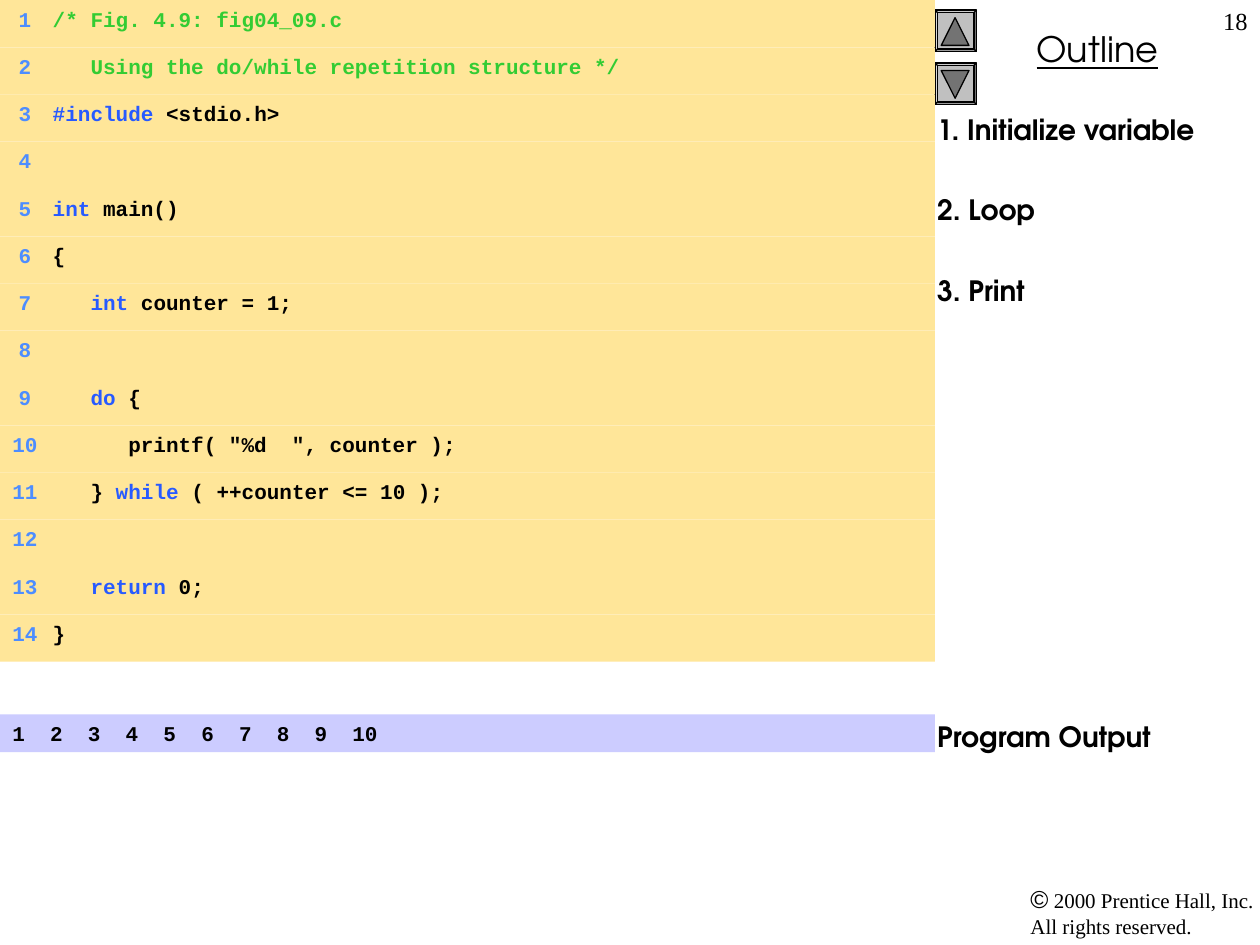
"""Build the do/while code listing slide with its outline and output."""
from lxml.etree import SubElement
from pptx import Presentation
from pptx.dml.color import RGBColor
from pptx.enum.shapes import MSO_SHAPE
from pptx.enum.text import MSO_ANCHOR, PP_ALIGN
from pptx.oxml.ns import qn
from pptx.util import Inches, Pt


def put(para, text, size, face, color="000000", bold=False):
    run = para.add_run()
    run.text = text
    font = run.font
    font.size, font.name, font.bold = Pt(size), face, bold
    font.color.rgb = RGBColor.from_string(color)
    return run


def draw(kind, left, top, width, height, fill, line=None):
    shape = slide.shapes.add_shape(
        kind, Inches(left), Inches(top), Inches(width), Inches(height))
    shape.shadow.inherit = False
    shape.fill.solid()
    shape.fill.fore_color.rgb = RGBColor.from_string(fill)
    if line:
        shape.line.color.rgb = RGBColor.from_string(line)
        shape.line.width = Pt(0.75)
    else:
        shape.line.fill.background()
    shape.text_frame.vertical_anchor = MSO_ANCHOR.TOP
    shape.text_frame.paragraphs[0].alignment = PP_ALIGN.LEFT
    return shape


deck = Presentation()
deck.slide_width, deck.slide_height = Inches(10), Inches(7.5)
slide = deck.slides.add_slide(deck.slide_layouts[6])

HEAD, CODE, BODY = "TeX Gyre Adventor", "Courier New", "Times New Roman"
NUM, NOTE, KEY, TEXT = "4D8DFF", "33CC33", "275AFF", "000000"
WIDE, ROW = 7.42, 0.375

for top, turn, tip in [(0.08, 0, 0.14), (0.5, 180, 0.56)]:
    button = draw(MSO_SHAPE.BEVEL, WIDE, top, 0.33, 0.33, "C0C0C0", TEXT)
    button.adjustments[0] = 0.06
    arrow = draw(MSO_SHAPE.ISOSCELES_TRIANGLE, 7.47, tip, 0.22, 0.22, "737373", TEXT)
    arrow.rotation = turn

boxes = [
    (WIDE, 0.17, 2.58, 0.44, PP_ALIGN.CENTER),
    (8.08, 6.97, 1.92, 0.53, PP_ALIGN.LEFT),
    (7.92, 0, 2.08, 0.5, PP_ALIGN.RIGHT),
    (7.34, 0.84, 2.66, 1.75, PP_ALIGN.LEFT),
    (7.34, 5.66, 2.66, 0.4, PP_ALIGN.LEFT),
]
frames = []
for left, top, width, height, align in boxes:
    box = slide.shapes.add_textbox(
        Inches(left), Inches(top), Inches(width), Inches(height))
    box.text_frame.word_wrap = True
    box.text_frame.paragraphs[0].alignment = align
    frames.append(box.text_frame)
title, legal, page, steps, label = frames

put(title.paragraphs[0], "Outline", 20, HEAD).font.underline = True
legal.margin_right = Inches(0)
para = legal.paragraphs[0]
put(para, "©", 14, "Arial")
put(para, " 2000 Prentice Hall, Inc.", 12, BODY)
para.add_line_break()
put(para, "All rights reserved.", 12, BODY)
put(page.paragraphs[0], "18", 14, BODY)
put(label.paragraphs[0], "Program Output", 16, HEAD, bold=True)
for i, step in enumerate(["1. Initialize variable", "2. Loop", "3. Print"]):
    para = steps.add_paragraph() if i else steps.paragraphs[0]
    if i:
        para.space_before = Pt(27)
    put(para, step, 16, HEAD, bold=True)

lines = [
    [("/* Fig. 4.9: fig04_09.c", NOTE)],
    [("   Using the do/while repetition structure */", NOTE)],
    [("#include", KEY), (" <stdio.h>", TEXT)],
    [],
    [("int", KEY), (" main()", TEXT)],
    [("{", TEXT)],
    [("   int", KEY), (" counter = 1;", TEXT)],
    [],
    [("   do", KEY), (" {", TEXT)],
    [('      printf( "%d  ", counter );', TEXT)],
    [("   } ", TEXT), ("while", KEY), (" ( ++counter <= 10 );", TEXT)],
    [],
    [("   return", KEY), (" 0;", TEXT)],
    [("}", TEXT)],
]
for i, parts in enumerate(lines):
    bar = draw(MSO_SHAPE.RECTANGLE, 0, i * ROW, WIDE, ROW, "FFE699")
    para = bar.text_frame.paragraphs[0]
    tabs = SubElement(para._p.get_or_add_pPr(), qn("a:tabLst"))
    for stop, side in [(0, "l"), (0.15, "r"), (0.32, "l")]:
        SubElement(tabs, qn("a:tab"), pos=str(Inches(stop)), algn=side)
    for text, color in [(f"\t{i + 1}\t", NUM)] + parts:
        put(para, text, 12, CODE, color, True)

bar = draw(MSO_SHAPE.RECTANGLE, 0, 5.67, WIDE, 0.3, "CCCCFF")
put(bar.text_frame.paragraphs[0], "1  2  3  4  5  6  7  8  9  10", 12, CODE, bold=True)

deck.save("out.pptx")
